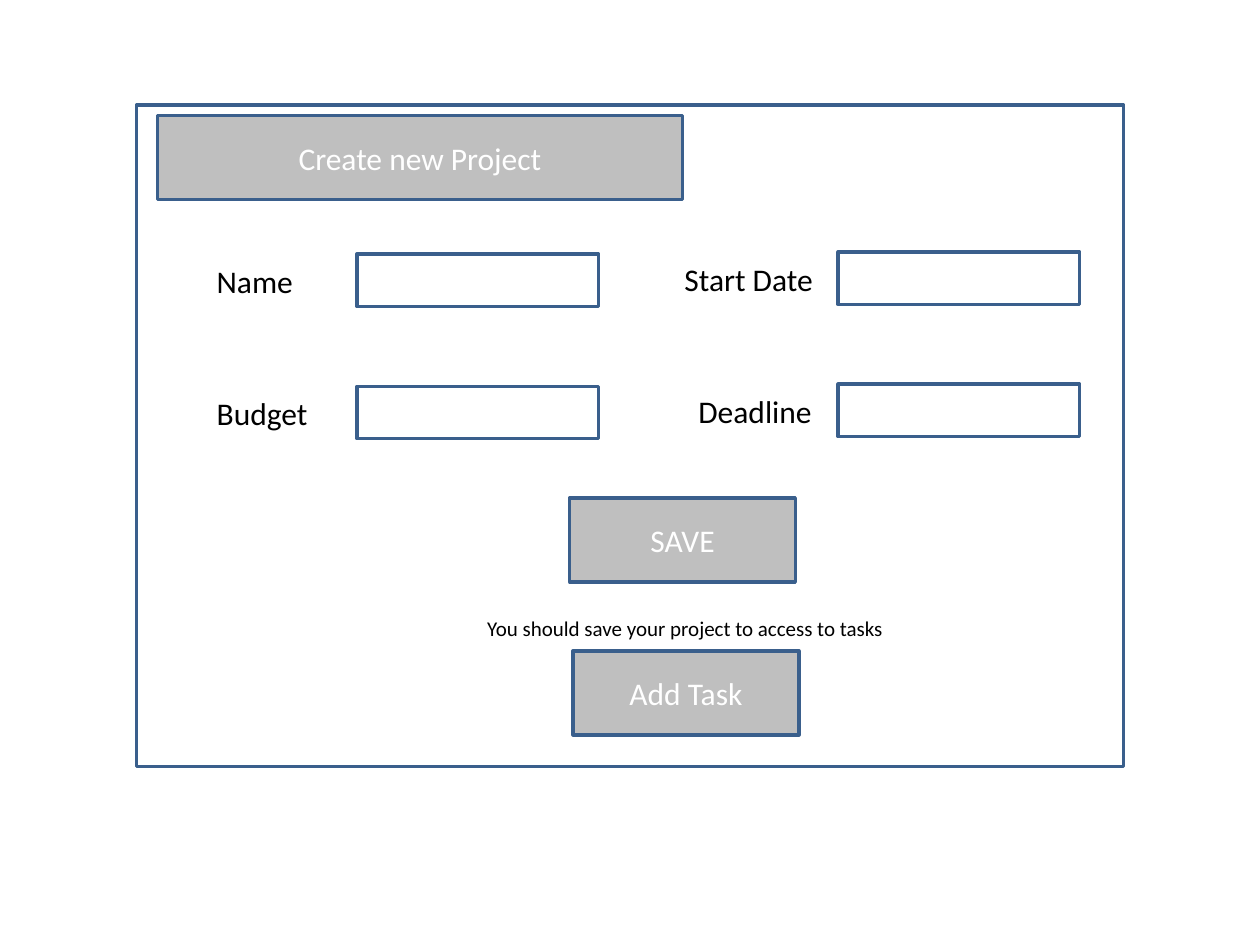
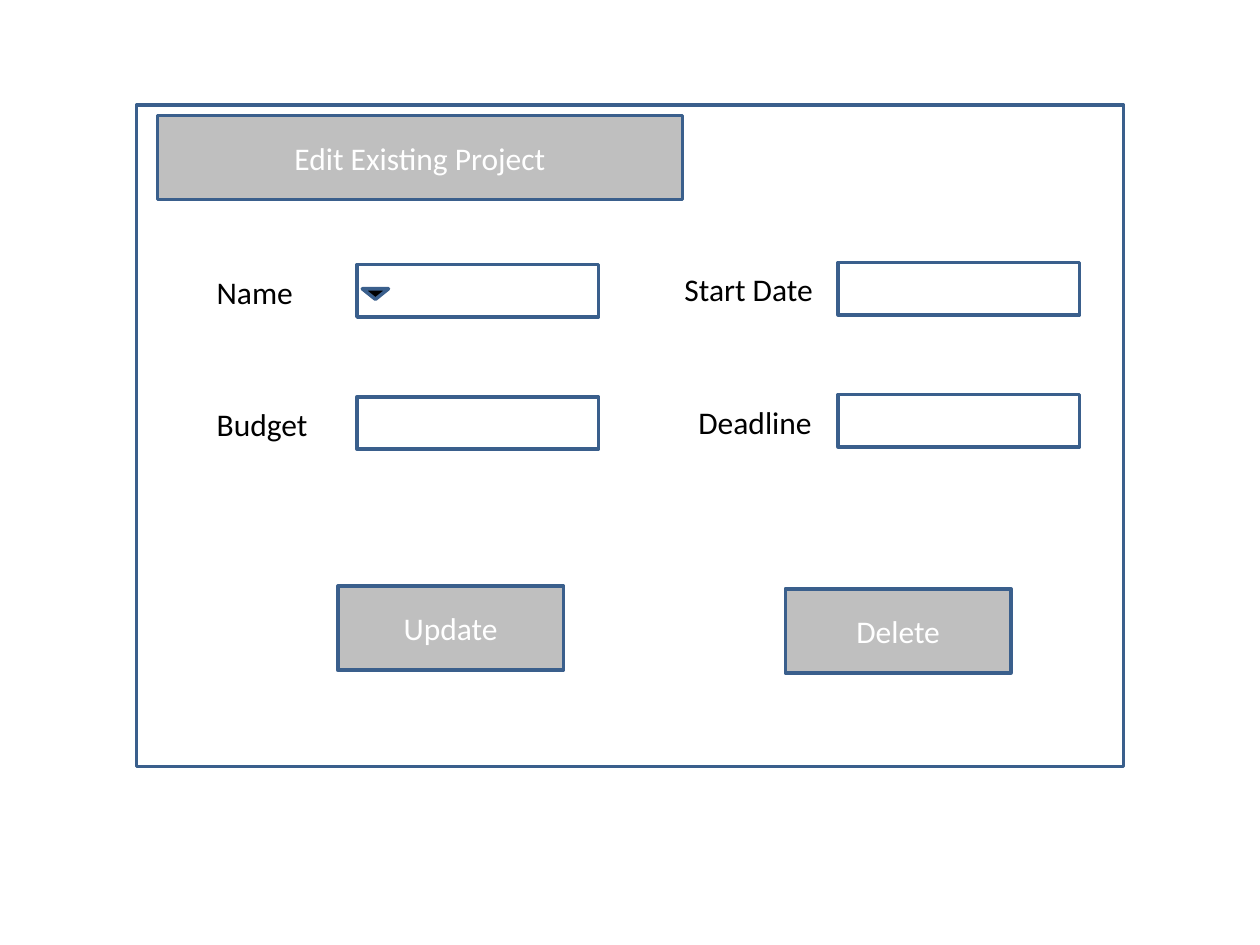
from pptx import Presentation
from pptx.dml.color import RGBColor
from pptx.enum.shapes import MSO_SHAPE
from pptx.enum.text import MSO_ANCHOR, MSO_AUTO_SIZE, PP_ALIGN
from pptx.util import Pt

RECTANGLE = MSO_SHAPE.RECTANGLE
TRIANGLE = MSO_SHAPE.ISOSCELES_TRIANGLE
LEFT, CENTER = PP_ALIGN.LEFT, PP_ALIGN.CENTER
MIDDLE = MSO_ANCHOR.MIDDLE
GROW = MSO_AUTO_SIZE.SHAPE_TO_FIT_TEXT

COLORS = {"border": "3A5F8C", "button": "BFBFBF", "light": "FFFFFF", "dark": "000000"}
FONT = "Calibri"
BUTTON_SIZE = (129, 48)
FIELD_SIZE = (138, 30)
ROW_PITCH = 75.5
LEFT_FIELD, RIGHT_FIELD = 204, 479
LEFT_DROP = 1.25
LABEL_DROP = 1


def rgb(name):
    return RGBColor.from_string(COLORS[name])


def write(frame, text, size=18, color="dark", align=LEFT):
    frame.word_wrap = True
    paragraph = frame.paragraphs[0]
    paragraph.alignment = align
    run = paragraph.add_run()
    run.text = text
    run.font.name = FONT
    run.font.size = Pt(size)
    run.font.color.rgb = rgb(color)


def add_box(slide, left, top, width, height, fill=None, kind=RECTANGLE):
    box = slide.shapes.add_shape(kind, Pt(left), Pt(top), Pt(width), Pt(height))
    box.shadow.inherit = False
    box.line.color.rgb = rgb("border")
    box.line.width = Pt(2)
    if fill:
        box.fill.solid()
        box.fill.fore_color.rgb = rgb(fill)
    else:
        box.fill.background()
    return box


def add_button(slide, caption, left, top, size=BUTTON_SIZE):
    frame = add_box(slide, left, top, *size, fill="button").text_frame
    frame.margin_left = frame.margin_right = frame.margin_top = frame.margin_bottom = 0
    frame.vertical_anchor = MIDDLE
    write(frame, caption, color="light", align=CENTER)


def add_label(slide, text, left, top, width, height=29, **text_format):
    label = slide.shapes.add_textbox(Pt(left), Pt(top), Pt(width), Pt(height))
    write(label.text_frame, text, **text_format)
    label.text_frame.auto_size = GROW


def add_field(slide, caption, label_left, label_width, field_left, top):
    add_box(slide, field_left, top, *FIELD_SIZE)
    add_label(slide, caption, label_left, top + LABEL_DROP, label_width)


def add_form(prs, title, fields_top):
    slide = prs.slides.add_slide(prs.slide_layouts[6])
    add_box(slide, 78, 60, 564, 378)
    add_button(slide, title, 90, 66, size=(300, 48))
    rows = [("Name", "Start Date", 95), ("Budget", "Deadline", 87)]
    for row, (left_caption, right_caption, right_width) in enumerate(rows):
        top = fields_top + row * ROW_PITCH
        add_field(slide, left_caption, 116.75, 72, LEFT_FIELD, top + LEFT_DROP)
        add_field(slide, right_caption, RIGHT_FIELD - right_width, right_width, RIGHT_FIELD, top)
    return slide


def add_create_form(prs):
    slide = add_form(prs, "Create new Project", 144)
    add_button(slide, "SAVE", 325.5, 284.5)
    add_button(slide, "Add Task", 327.5, 372)
    add_label(slide, "You should save your project to access to tasks",
              215, 348, 353, height=21.75, size=12, align=CENTER)


def add_edit_form(prs):
    slide = add_form(prs, "Edit Existing Project", 150)
    name_arrow = add_box(slide, 207, 165, 15, 6, fill="dark", kind=TRIANGLE)
    name_arrow.rotation = 180
    add_button(slide, "Update", 193, 335)
    add_button(slide, "Delete", 448.75, 336.5)


def main():
    prs = Presentation()
    prs.slide_width, prs.slide_height = Pt(720), Pt(540)
    add_create_form(prs)
    add_edit_form(prs)
    prs.save("out.pptx")


main()
